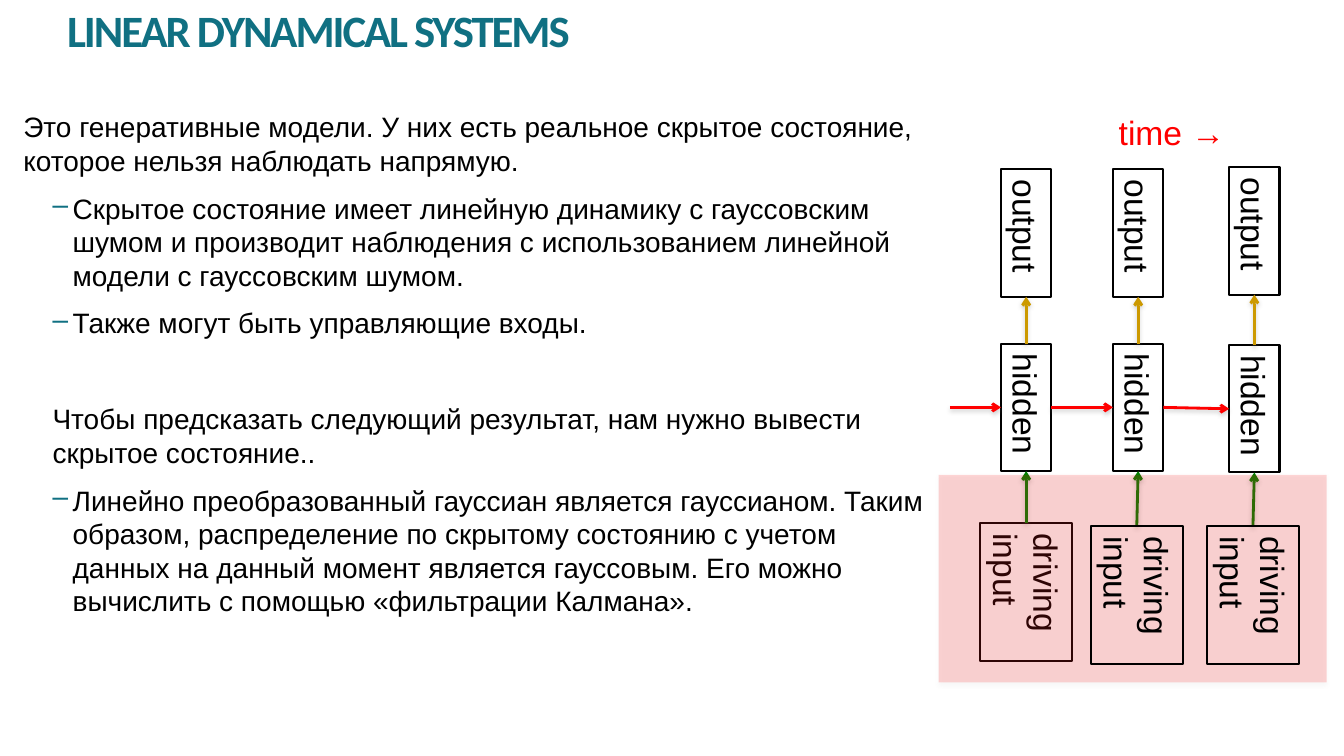
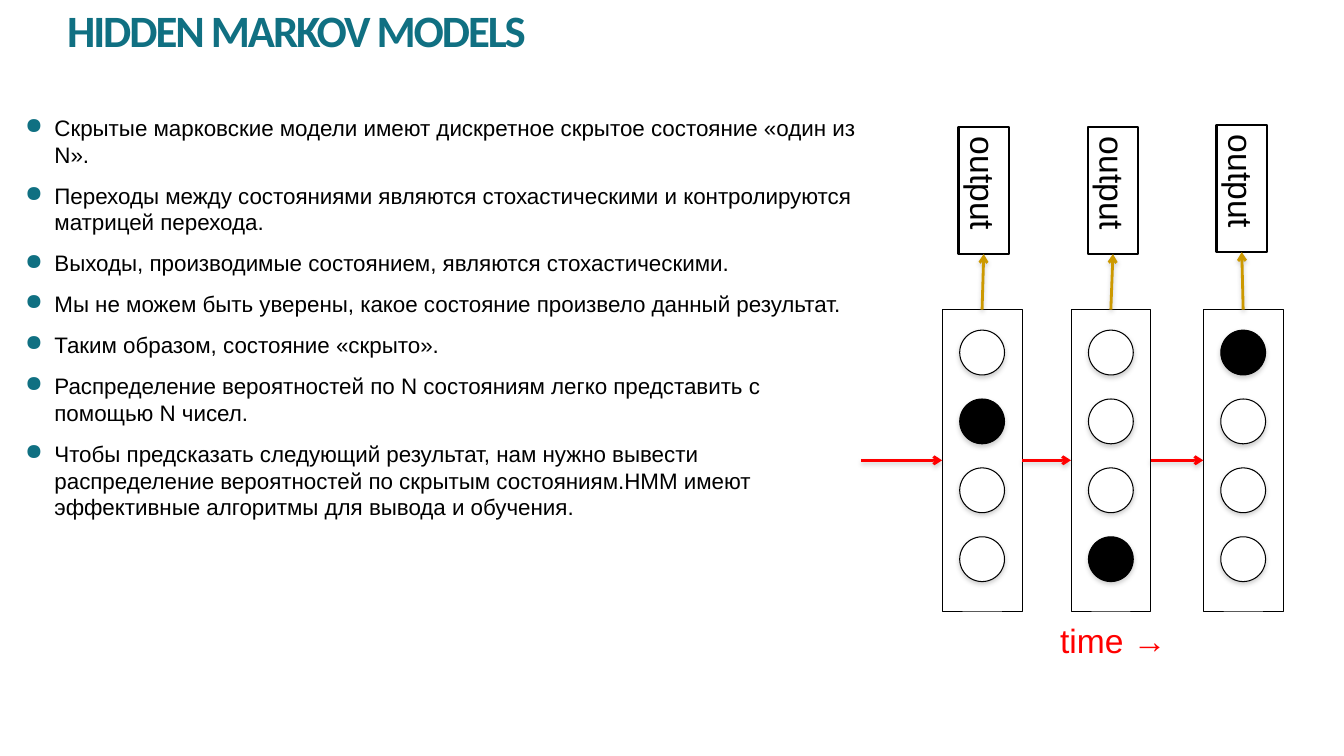
from pptx import Presentation
from pptx import oxml
from pptx.dml.color import RGBColor
from pptx.enum import shapes, text
from pptx.oxml import ns
from pptx.util import Pt

TEAL = RGBColor(0x10, 0x70, 0x82)
BLACK = RGBColor(0, 0, 0)
WHITE = RGBColor(0xFF, 0xFF, 0xFF)
RED = RGBColor(0xFF, 0, 0)
GOLD = RGBColor(0xCC, 0x99, 0)
GREEN = RGBColor(0, 0x80, 0)

TOP, LEFT, BOTTOM, RIGHT = range(4)
RECTANGLE = shapes.MSO_SHAPE.RECTANGLE
OVAL = shapes.MSO_SHAPE.OVAL
LABEL = {"name": "Arial", "size": Pt(24)}
SHADOW = (
    f'<a:effectLst {ns.nsdecls("a")}><a:outerShdw blurRad="40000" dist="22000" dir="5400000" rotWithShape="0">'
    '<a:srgbClr val="808080"><a:alpha val="36000"/></a:srgbClr></a:outerShdw></a:effectLst>'
)


def node(slide, kind, center, size, fill=None, line=None, label="", shadow=False):
    (x, y), (width, height) = center, size
    shape = slide.shapes.add_shape(kind, Pt(x - width / 2), Pt(y - height / 2), Pt(width), Pt(height))
    if fill is None:
        shape.fill.background()
    else:
        shape.fill.solid()
        shape.fill.fore_color.rgb = fill
    if line is None:
        shape.line.fill.background()
    else:
        shape.line.color.rgb = BLACK
        shape.line.width = Pt(line)
    if shadow:
        shape.element.spPr.append(oxml.parse_xml(SHADOW))
    else:
        shape.shadow.inherit = False
    if label:
        frame = shape.text_frame
        layout = {"margin_top": Pt(7.2), "margin_bottom": Pt(7.2), "margin_left": Pt(3.6),
                  "margin_right": Pt(3.6), "vertical_anchor": text.MSO_ANCHOR.TOP, "word_wrap": True}
        for key, value in layout.items():
            setattr(frame, key, value)
        frame._txBody.bodyPr.set("vert", "vert")
        paragraph = frame.paragraphs[0]
        paragraph.alignment = text.PP_ALIGN.LEFT
        run = paragraph.add_run()
        run.text = label
        for key, value in LABEL.items():
            setattr(run.font, key, value)
        run.font.color.rgb = BLACK
    return shape


def arrow(slide, color, head, head_site, tail=None, tail_site=None, start=(0, 0)):
    x, y = start
    link = slide.shapes.add_connector(shapes.MSO_CONNECTOR.STRAIGHT, Pt(x), Pt(y), Pt(x), Pt(y))
    link.end_connect(head, head_site)
    if tail is not None:
        link.begin_connect(tail, tail_site)
    link.line.color.rgb = color
    link.line.width = Pt(2)
    properties = link.element.spPr
    properties.ln.append(oxml.parse_xml(f'<a:tailEnd {ns.nsdecls("a")} type="arrow"/>'))
    properties.append(oxml.parse_xml(SHADOW))


presentation = Presentation()
presentation.slide_width = Pt(960)
presentation.slide_height = Pt(540)

PLAIN = (0, 0, None, 0)
DASH = (35.3, -14.4, "–", 0)
CONCLUSION = (20.9, 0, None, 34.5)
DOT = (20.9, -20.9, "●", 0)

topics = [
    {
        "title": "LINEAR DYNAMICAL SYSTEMS",
        "body_area": (16.6, 78.5, 647.3, 427),
        "body_size": 20,
        "time_at": (792, 76.3),
        "body": [
            (PLAIN, "Это генеративные модели. У них есть реальное скрытое состояние, которое нельзя наблюдать напрямую."),
            (DASH, "Скрытое состояние имеет линейную динамику с гауссовским шумом и производит наблюдения "
                   "с использованием линейной модели с гауссовским шумом."),
            (DASH, "Также могут быть управляющие входы."),
            (CONCLUSION, "Чтобы предсказать следующий результат, нам нужно вывести скрытое состояние.."),
            (DASH, "Линейно преобразованный гауссиан является гауссианом. Таким образом, распределение "
                   "по скрытому состоянию с учетом данных на данный момент является гауссовым. "
                   "Его можно вычислить с помощью «фильтрации Калмана»."),
        ],
    },
    {
        "title": "HIDDEN MARKOV MODELS",
        "body_area": (18, 81.4, 597.6, 302.4),
        "body_size": 16,
        "time_at": (750.2, 439.2),
        "body": [
            (DOT, "Скрытые марковские модели имеют дискретное скрытое состояние «один из N»."),
            (DOT, "Переходы между состояниями являются стохастическими и контролируются матрицей перехода."),
            (DOT, "Выходы, производимые состоянием, являются стохастическими."),
            (DOT, "Мы не можем быть уверены, какое состояние произвело данный результат."),
            (DOT, "Таким образом, состояние «скрыто»."),
            (DOT, "Распределение вероятностей по N состояниям легко представить с помощью N чисел."),
            (DOT, "Чтобы предсказать следующий результат, нам нужно вывести распределение вероятностей "
                  "по скрытым состояниям.HMM имеют эффективные алгоритмы для вывода и обучения."),
        ],
    },
]

slides = []
for topic in topics:
    slide = presentation.slides.add_slide(presentation.slide_layouts[6])
    slides.append(slide)
    passages = [
        ((48, 6, 864, 90), 0, {"name": "Calibri", "size": Pt(32), "bold": True}, TEAL, [(PLAIN, topic["title"])]),
        (topic["body_area"], 0, {"name": "Arial", "size": Pt(topic["body_size"])}, BLACK, topic["body"]),
        ((*topic["time_at"], 151, 36), 1, LABEL, RED, [(PLAIN, "time →")]),
    ]
    for area, inset, font, color, paragraphs in passages:
        frame = slide.shapes.add_textbox(*map(Pt, area)).text_frame
        margins = {"margin_left": Pt(7.2 * inset), "margin_right": Pt(7.2 * inset),
                   "margin_top": Pt(3.6 * inset), "margin_bottom": Pt(3.6 * inset), "word_wrap": True}
        for key, value in margins.items():
            setattr(frame, key, value)
        for number, ((margin, indent, bullet, before), words) in enumerate(paragraphs):
            paragraph = frame.add_paragraph() if number else frame.paragraphs[0]
            properties = paragraph._p.get_or_add_pPr()
            properties.set("marL", str(Pt(margin)))
            properties.set("indent", str(Pt(indent)))
            if bullet:
                for tag in (f'<a:buClr {ns.nsdecls("a")}><a:srgbClr val="{TEAL}"/></a:buClr>',
                            f'<a:buChar {ns.nsdecls("a")} char="{bullet}"/>'):
                    properties.append(oxml.parse_xml(tag))
            if before:
                paragraph.space_before = Pt(before)
            if len(paragraphs) > 1:
                paragraph.space_after = Pt(10)
            run = paragraph.add_run()
            run.text = words
            for key, value in font.items():
                setattr(run.font, key, value)
            run.font.color.rgb = color
            if color == TEAL:
                paragraph.line_spacing = 0.9
                run._r.get_or_add_rPr().set("spc", "-150")

linear, markov = slides
UNIT = (36, 91)

inputs = []
previous = None
for x, output_y, hidden_y, input_x, input_y in [
    (733, 166.5, 291, 733, 423),
    (813, 166.5, 291, 812, 425),
    (896, 165, 292, 895, 425),
]:
    driving = node(linear, RECTANGLE, (input_x, input_y), (65.5, 98.6), line=1.5, label="driving input")
    hidden = node(linear, RECTANGLE, (x, hidden_y), UNIT, line=1.5, label="hidden")
    output = node(linear, RECTANGLE, (x, output_y), UNIT, line=1.5, label="output")
    arrow(linear, GREEN, hidden, BOTTOM, driving, TOP)
    arrow(linear, GOLD, output, BOTTOM, hidden, TOP)
    arrow(linear, RED, hidden, LEFT, previous, RIGHT, start=(678.5, hidden_y))
    inputs.append(driving)
    previous = hidden

input_band = node(linear, RECTANGLE, (809, 413.3), (277.2, 148.3), fill=RED, shadow=True)
band_color = input_band.element.spPr.find(ns.qn("a:solidFill"))[0]
band_color.append(oxml.parse_xml(f'<a:alpha {ns.nsdecls("a")} val="16000"/>'))
for part in inputs[1:]:
    part.element.getparent().append(part.element)

previous = None
for state_x, output_x, output_y, active in [
    (701.5, 702.7, 136, 1),
    (793.5, 795, 136, 3),
    (888, 887, 134.6, 0),
]:
    state = node(markov, RECTANGLE, (state_x, 328.8), (57, 215.3), line=0.5)
    output = node(markov, RECTANGLE, (output_x, output_y), UNIT, line=1.5, label="output")
    arrow(markov, GOLD, output, BOTTOM, state, TOP)
    arrow(markov, RED, state, LEFT, previous, RIGHT, start=(615, 328.8))
    for row in range(4):
        node(markov, OVAL, (state_x, 251.8 + 49.2 * row), (32, 32),
             fill=BLACK if row == active else WHITE, line=0.75, shadow=True)
    previous = state

presentation.save("out.pptx")
